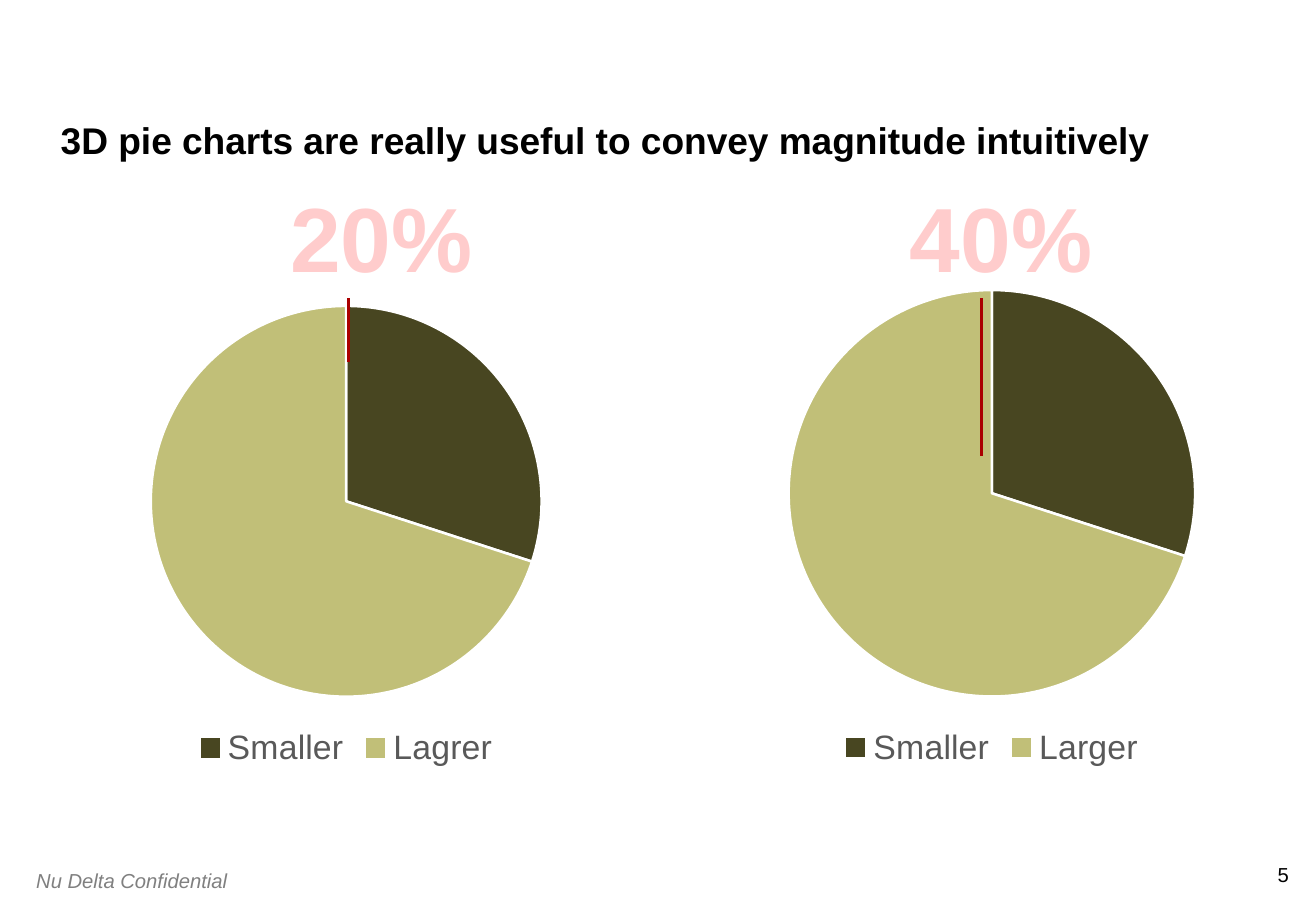
from pptx import Presentation
from pptx.chart.data import CategoryChartData
from pptx.dml.color import RGBColor
from pptx.enum.chart import XL_CHART_TYPE, XL_LEGEND_POSITION
from pptx.enum.shapes import MSO_CONNECTOR
from pptx.enum.text import MSO_ANCHOR, PP_ALIGN
from pptx.oxml.ns import qn
from pptx.util import Pt
from lxml import etree

PIE = XL_CHART_TYPE.PIE
BOTTOM_LEGEND = XL_LEGEND_POSITION.BOTTOM
STRAIGHT = MSO_CONNECTOR.STRAIGHT
TOP, BOTTOM = MSO_ANCHOR.TOP, MSO_ANCHOR.BOTTOM
LEFT, CENTER, RIGHT = PP_ALIGN.LEFT, PP_ALIGN.CENTER, PP_ALIGN.RIGHT

FONT = "Arial"
SLICE_COLORS = ("484621", "C1BF78")
POINTER_TOP = 176.4


def color(hex_code):
    return RGBColor.from_string(hex_code)


def style_font(font, size, hex_code, bold=False, italic=False):
    font.name, font.size = FONT, Pt(size)
    font.bold, font.italic = bold, italic
    font.color.rgb = color(hex_code)


def add_text(page, text, bounds, size, hex_code, align=LEFT, anchor=TOP,
             insets=(7.2, 3.6), wrap=True, space_before=0, line_spacing=1.0,
             bold=False, italic=False):
    """Add one paragraph; insets are horizontal and vertical."""
    frame = page.shapes.add_textbox(*map(Pt, bounds)).text_frame
    frame.word_wrap = wrap
    frame.vertical_anchor = anchor
    frame.margin_left = frame.margin_right = Pt(insets[0])
    frame.margin_top = frame.margin_bottom = Pt(insets[1])
    para = frame.paragraphs[0]
    para.text = text
    para.alignment = align
    para.space_before = Pt(space_before)
    para.line_spacing = line_spacing
    style_font(para.font, size, hex_code, bold, italic)


def add_pie(page, categories, bounds):
    data = CategoryChartData()
    data.categories = categories
    data.add_series("Series 1", (30, 70))
    chart = page.shapes.add_chart(PIE, *map(Pt, bounds), data).chart
    chart.has_title = False
    style_font(chart.font, 10, "000000")
    chart.has_legend = True
    chart.legend.position = BOTTOM_LEGEND
    chart.legend.include_in_layout = False
    style_font(chart.legend.font, 20, "595959")
    plot = chart.plots[0]
    plot.vary_by_categories = True
    for index, slice_color in enumerate(SLICE_COLORS):
        slice_format = plot.series[0].points[index].format
        slice_format.fill.solid()
        slice_format.fill.fore_color.rgb = color(slice_color)
        slice_format.line.color.rgb = color("FFFFFF")
        slice_format.line.width = Pt(1.5)


def add_percentage(page, text, left):
    add_text(page, text, (left, 103.7, 123.8, 72.7), 54, "FFCCCC",
             align=CENTER, wrap=False, space_before=5.4, bold=True)


def add_pointer(page, x, bottom):
    pointer = page.shapes.add_connector(
        STRAIGHT, Pt(x), Pt(bottom), Pt(x), Pt(POINTER_TOP))
    pointer.line.color.rgb = color("AA0000")
    pointer.line.width = Pt(1.75)
    etree.SubElement(pointer._element.spPr, qn("a:effectLst"))


def main():
    deck = Presentation()
    deck.slide_width, deck.slide_height = Pt(780), Pt(540)
    page = deck.slides.add_slide(deck.slide_layouts[6])

    add_text(page, "5", (748.8, 511.2, 15.1, 14.4), 12, "000000",
             align=RIGHT, insets=(0, 0), wrap=False)
    add_text(page, "Nu Delta Confidential", (14.4, 511.2, 144, 21.6), 12,
             "808080", space_before=1.2, italic=True)
    add_text(page,
             "3D pie charts are really useful to convey magnitude intuitively",
             (36, 30.2, 708, 66.2), 22, "000000", anchor=BOTTOM,
             insets=(0, 0), line_spacing=0.9, bold=True)

    add_pie(page, ("Smaller", "Lagrer"), (15.1, 171.4, 380.2, 287.3))
    add_pie(page, ("Smaller", "Larger"), (399.6, 162, 376.6, 296.6))
    add_percentage(page, "20%", 164.2)
    add_percentage(page, "40%", 531.4)
    add_pointer(page, 206.6, 214.6)
    add_pointer(page, 581.8, 270)

    deck.save("out.pptx")


if __name__ == "__main__":
    main()
